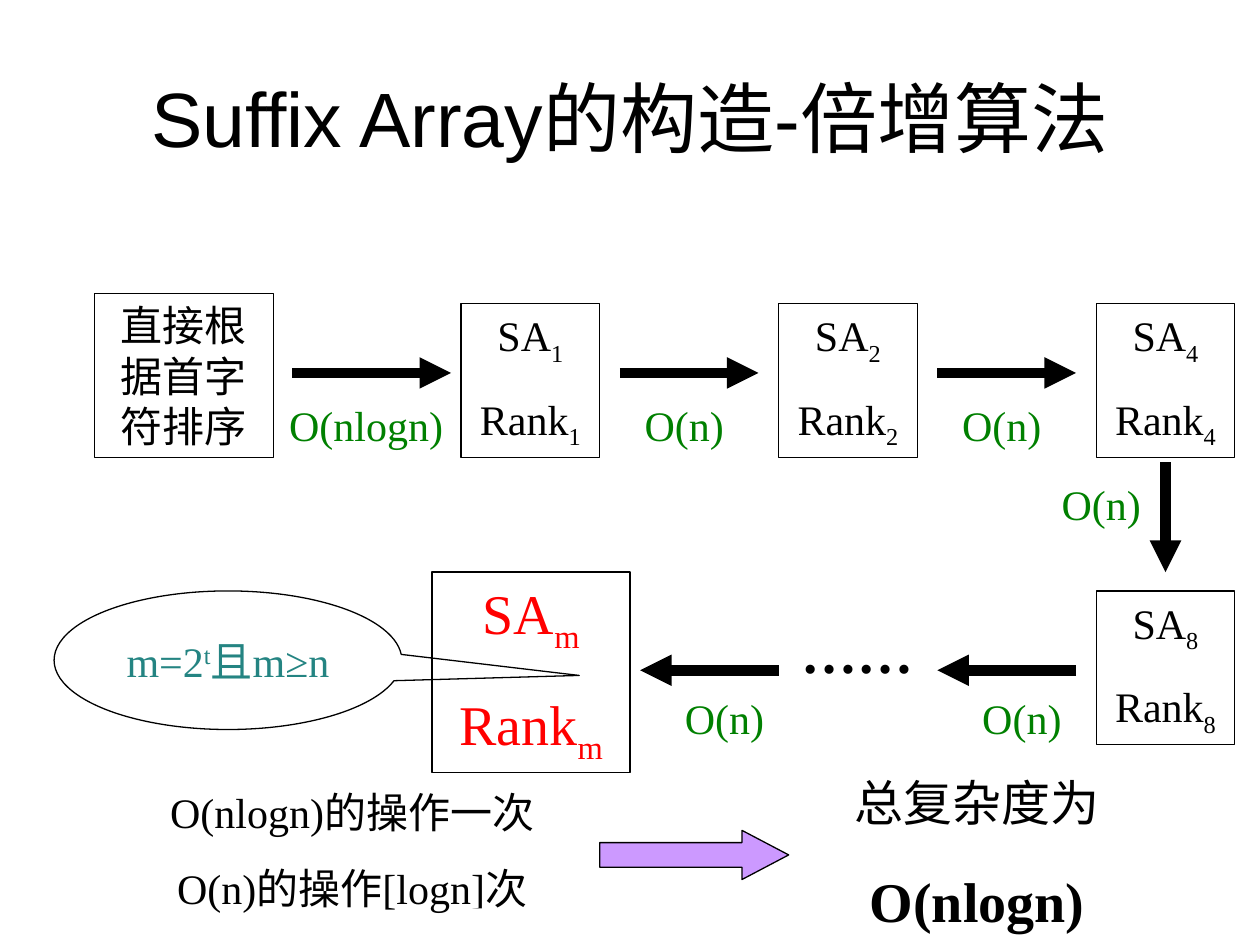
from lxml import etree
from pptx import Presentation
from pptx.dml.color import RGBColor
from pptx.enum.shapes import MSO_CONNECTOR, MSO_SHAPE
from pptx.enum.text import MSO_ANCHOR, PP_ALIGN
from pptx.oxml.ns import qn
from pptx.util import Inches, Pt

RECT = MSO_SHAPE.RECTANGLE
ARROW = MSO_SHAPE.RIGHT_ARROW
BUBBLE = MSO_SHAPE.OVAL_CALLOUT
LINE = MSO_CONNECTOR.STRAIGHT
CENTER = PP_ALIGN.CENTER
TOP, MIDDLE = MSO_ANCHOR.TOP, MSO_ANCHOR.MIDDLE

COLORS = {
    "black": "000000",
    "white": "FFFFFF",
    "green": "008000",
    "red": "FF0000",
    "teal": "248482",
    "violet": "CC99FF",
}
SERIF = "Times New Roman"
BASE = {"_": "-25000", "^": "30000"}
ROW_Y, LOW_Y = 2.96, 5.32
STEP = 2.52


def color(name):
    return RGBColor.from_string(COLORS[name])


def write(shape, *lines, size=24, last=None, font=SERIF, tint="black",
          bold=False, gap=15, space=None, anchor=TOP):
    """Fill a shape; "|" parts runs, "_" lowers and "^" raises a run.

    last gives the size of a bold closing line.
    """
    frame = shape.text_frame
    frame.word_wrap = True
    frame.vertical_anchor = anchor
    for i, line in enumerate(lines):
        para = frame.paragraphs[0] if i == 0 else frame.add_paragraph()
        para.alignment = CENTER
        if i:
            para.space_before = Pt(gap)
        if space:
            para.line_spacing = space
        strong = last is not None and i == len(lines) - 1
        for part in line.split("|"):
            run = para.add_run()
            run.text = part.lstrip("_^")
            run.font.name = font
            run.font.size = Pt(last if strong else size)
            run.font.bold = bold or strong
            run.font.color.rgb = color(tint)
            if part[0] in BASE:
                run._r.get_or_add_rPr().set("baseline", BASE[part[0]])


def label(slide, x, y, w, h, *lines, **form):
    box = slide.shapes.add_textbox(Inches(x), Inches(y), Inches(w), Inches(h))
    write(box, *lines, **form)


def block(slide, kind, x, y, w, h, fill=None, edge="black", adjust=()):
    shape = slide.shapes.add_shape(
        kind, Inches(x), Inches(y), Inches(w), Inches(h))
    shape.shadow.inherit = False
    if fill:
        shape.fill.solid()
        shape.fill.fore_color.rgb = color(fill)
    else:
        shape.fill.background()
    if edge:
        shape.line.color.rgb = color(edge)
        shape.line.width = Pt(0.75)
    else:
        shape.line.fill.background()
    for i, value in enumerate(adjust):
        shape.adjustments[i] = value
    return shape


def arrow(slide, x1, y1, x2, y2):
    line = slide.shapes.add_connector(
        LINE, Inches(x1), Inches(y1), Inches(x2), Inches(y2))
    line.line.color.rgb = color("black")
    line.line.width = Pt(6)
    etree.SubElement(line.line._get_or_add_ln(), qn("a:tailEnd"), type="triangle")
    etree.SubElement(line._element.spPr, qn("a:effectLst"))


def ranks(slide, x, y, sub, w=1.1, h=1.22, **form):
    """Box with the suffix array and rank of one round."""
    box = block(slide, RECT, x, y, w, h)
    write(box, f"SA|_{sub}", f"Rank|_{sub}", **form)


def cost(slide, x, y, text="O(n)", w=1.02):
    label(slide, x, y, w, 0.5, text, tint="green")


def top_row(slide):
    start = block(slide, RECT, 0.75, 2.33, 1.42, 1.3)
    write(start, "直接根据首字符排序")
    arrow(slide, 2.32, ROW_Y, 3.58, ROW_Y)
    cost(slide, 2.16, 3.12, "O(nlogn)", 1.49)
    for i, sub in enumerate("124"):
        x = 3.66 + i * STEP
        ranks(slide, x, 2.41, sub)
        if i:
            arrow(slide, x - 1.26, ROW_Y, x - 0.16, ROW_Y)
            cost(slide, x - 1.26, 3.12)


def low_row(slide):
    arrow(slide, 9.25, 3.67, 9.25, 4.54)
    cost(slide, 8.23, 3.75)
    ranks(slide, 8.7, 4.69, "8")
    label(slide, 6.1, 4.93, 1.42, 0.56, "……", size=32, bold=True, space=0.85)
    ranks(slide, 3.43, 4.54, "m", 1.57, 1.59, size=32, tint="red", gap=20)
    for x in (7.44, 5.08):
        arrow(slide, x + 1.1, LOW_Y, x, LOW_Y)
        cost(slide, x + 0.16, 5.45)
    bubble = block(slide, BUBBLE, 0.43, 4.69, 2.76, 1.1, adjust=(1.01, 0.11))
    write(bubble, "m=2|^t|且m≥n", tint="teal", anchor=MIDDLE)


def total(slide):
    label(slide, 1.06, 6.19, 3.47, 1.11, "O(nlogn)的操作一次", "O(n)的操作[logn]次")
    # Hides the foot of the right bracket, which makes it a ceiling sign
    block(slide, RECT, 3.74, 7.21, 0.16, 0.21, fill="white", edge=None)
    block(slide, ARROW, 4.76, 6.59, 1.5, 0.39, fill="violet", adjust=(0.5, 0.95))
    label(slide, 6.26, 6.08, 2.99, 1.38, "总复杂度为", "O(nlogn)",
          size=28, last=32, gap=20)


def main():
    deck = Presentation()
    deck.slide_width, deck.slide_height = Inches(10), Inches(7.5)
    slide = deck.slides.add_slide(deck.slide_layouts[6])
    label(slide, 0.5, 0.3, 9, 1.25, "Suffix Array的构造-倍增算法",
          size=44, font="Arial", anchor=MIDDLE)
    top_row(slide)
    low_row(slide)
    total(slide)
    deck.save("out.pptx")


if __name__ == "__main__":
    main()
